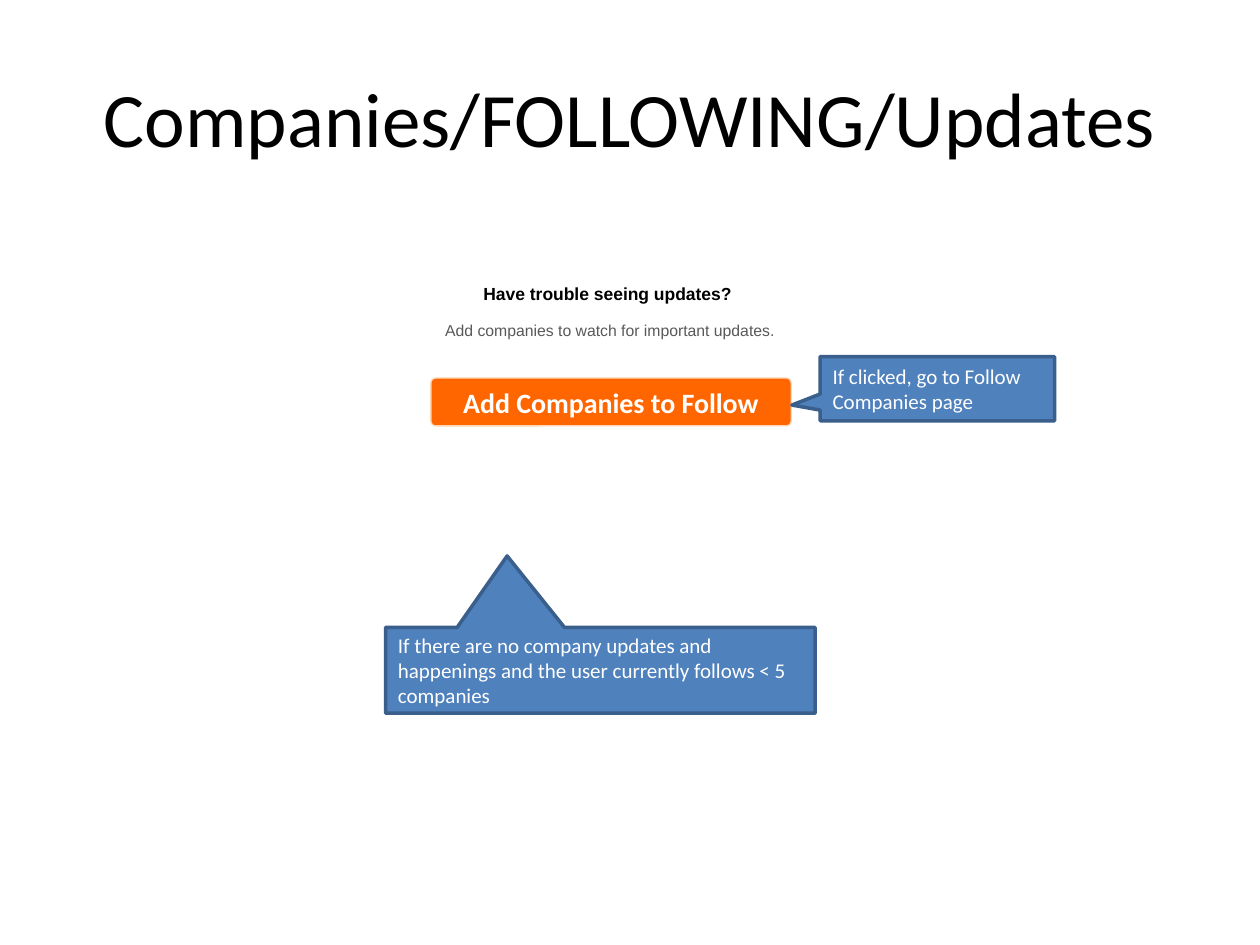
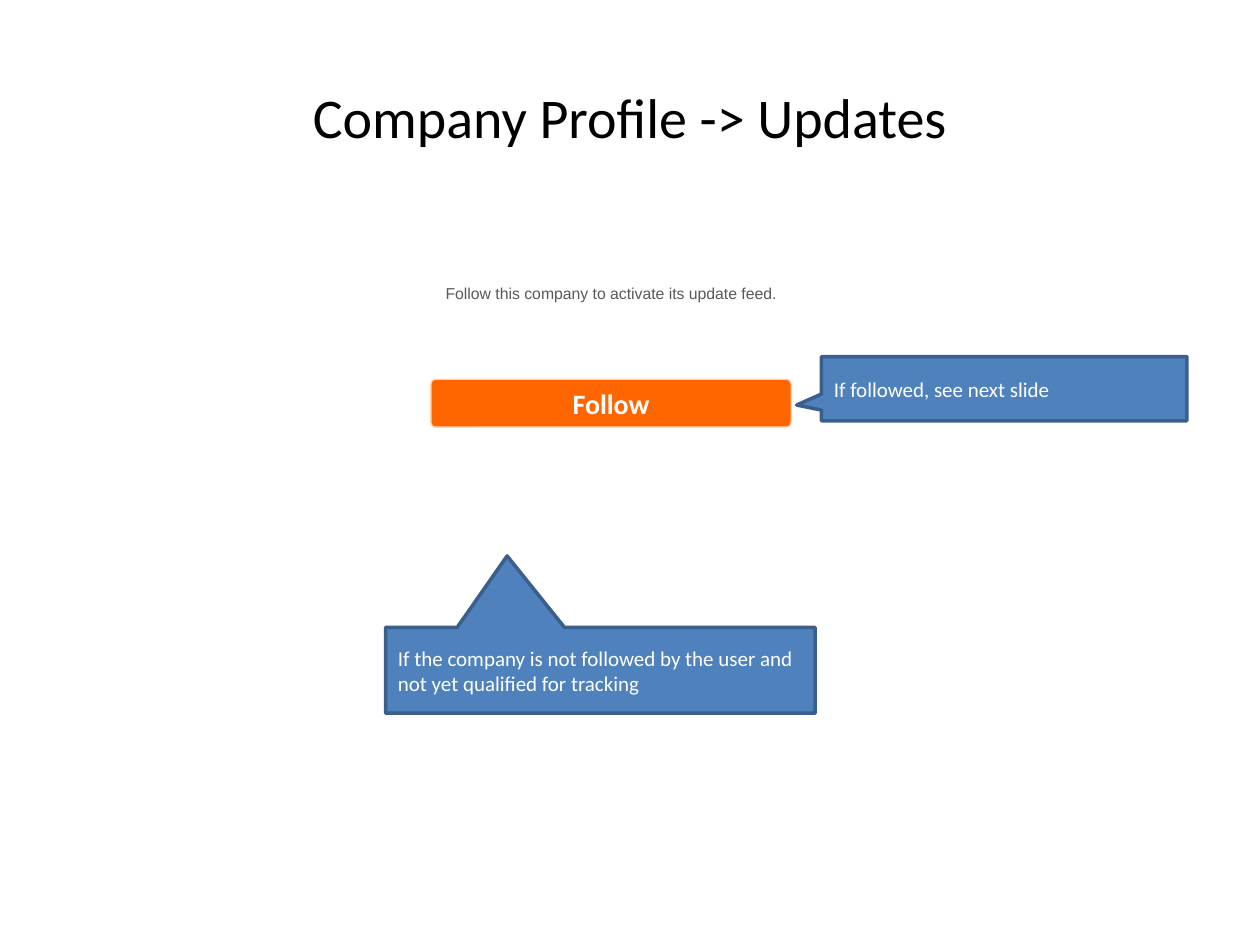
import pptx
import pptx.util
import pptx.dml.color
import pptx.enum.shapes
import pptx.enum.text

Pt = pptx.util.Pt
SHAPES = pptx.enum.shapes.MSO_SHAPE
ALIGN = pptx.enum.text.PP_ALIGN
ANCHOR = pptx.enum.text.MSO_ANCHOR

COLORS = {
    "title": "000000",
    "message": "595959",
    "button": "FF6600",
    "button_line": "FCD5B5",
    "callout": "4F81BD",
    "callout_line": "3A5F8C",
    "light": "FFFFFF",
}
TITLE_BOX = (36, 21.6, 648, 90)
CONDITION_BOX = (220.32, 358.56, 245.52, 48.96)
CONDITION_POINTER = (-0.217, -1.335)


def color(name):
    return pptx.dml.color.RGBColor.from_string(COLORS[name])


def add_run(paragraph, text, size, color_name, font="Calibri", bold=False):
    run = paragraph.add_run()
    run.text = text
    run.font.name = font
    run.font.size = Pt(size)
    run.font.bold = bold
    run.font.color.rgb = color(color_name)


def prepare_text(shape, align, anchor=ANCHOR.MIDDLE):
    frame = shape.text_frame
    frame.word_wrap = True
    frame.vertical_anchor = anchor
    paragraph = frame.paragraphs[0]
    paragraph.alignment = align
    return paragraph


def add_box(slide, kind, box, adjustments, fill, line, line_width):
    shape = slide.shapes.add_shape(kind, *map(Pt, box))
    for index, value in enumerate(adjustments):
        shape.adjustments[index] = value
    shape.shadow.inherit = False
    shape.fill.solid()
    shape.fill.fore_color.rgb = color(fill)
    shape.line.color.rgb = color(line)
    shape.line.width = Pt(line_width)
    return shape


def add_title(slide, text, size):
    shape = slide.shapes.add_textbox(*map(Pt, TITLE_BOX))
    add_run(prepare_text(shape, ALIGN.CENTER), text, size, "title")


def add_message(slide, box, text, heading=None):
    shape = slide.shapes.add_textbox(*map(Pt, box))
    paragraph = prepare_text(shape, ALIGN.CENTER, ANCHOR.TOP)
    if heading:
        add_run(paragraph, heading, 10, "title", "Arial", True)
        paragraph = shape.text_frame.add_paragraph()
        paragraph.alignment = ALIGN.CENTER
        paragraph.space_before = Pt(9.2)
    add_run(paragraph, text, 9, "message", "Arial")


def add_button(slide, box, text):
    shape = add_box(slide, SHAPES.ROUNDED_RECTANGLE, box, [0.101],
                    "button", "button_line", 0.75)
    add_run(prepare_text(shape, ALIGN.CENTER), text, 16, "light", bold=True)


def add_callout(slide, box, pointer, text):
    shape = add_box(slide, SHAPES.RECTANGULAR_CALLOUT, box, pointer,
                    "callout", "callout_line", 2)
    add_run(prepare_text(shape, ALIGN.LEFT), text, 12, "light")


def add_prompt_slide(presentation, title, message, button, condition, action):
    slide = presentation.slides.add_slide(presentation.slide_layouts[6])
    add_title(slide, *title)
    add_message(slide, *message)
    add_button(slide, *button)
    add_callout(slide, CONDITION_BOX, CONDITION_POINTER, condition)
    add_callout(slide, *action)


def main():
    presentation = pptx.Presentation()
    presentation.slide_width = Pt(720)
    presentation.slide_height = Pt(540)
    add_prompt_slide(
        presentation,
        title=("Companies/FOLLOWING/Updates", 44),
        message=((87.84, 158.4, 521.28, 40.32),
                 "Add companies to watch for important updates.",
                 "Have trouble seeing updates? "),
        button=((246.24, 216, 205.92, 27.36), "Add Companies to Follow"),
        condition="If there are no company updates and happenings and "
                  "the user currently follows < 5 companies",
        action=((468.72, 203.76, 133.92, 36.72), (-0.621, 0.255),
                "If clicked, go to Follow Companies page"),
    )
    add_prompt_slide(
        presentation,
        title=("Company Profile -> Updates", 32),
        message=((171.36, 158.4, 355.68, 18),
                 "Follow this company to activate its update feed."),
        button=((246.24, 216.72, 205.92, 27.36), "Follow"),
        condition="If the company is not followed by the user and "
                  "not yet qualified for tracking",
        action=((469.44, 203.76, 208.8, 36.72), (-0.568, 0.255),
                "If followed, see next slide"),
    )
    presentation.save("out.pptx")


if __name__ == "__main__":
    main()
